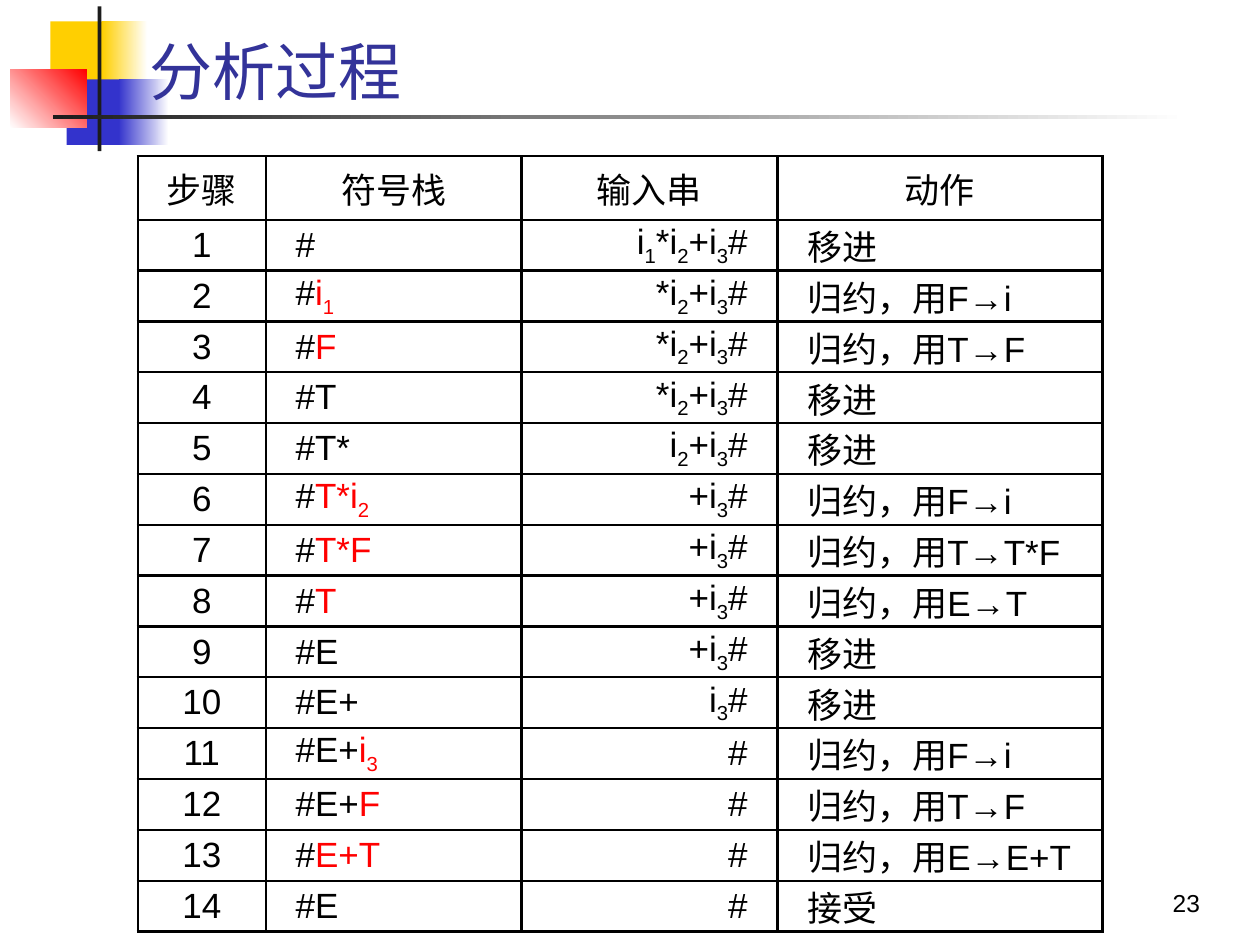
from dataclasses import dataclass

from lxml import etree
from pptx import Presentation
from pptx.dml.color import RGBColor
from pptx.enum.shapes import MSO_SHAPE
from pptx.enum.text import MSO_ANCHOR, MSO_AUTO_SIZE, PP_ALIGN
from pptx.oxml.ns import qn
from pptx.util import Pt

RECT = MSO_SHAPE.RECTANGLE
MIDDLE, BOTTOM = MSO_ANCHOR.MIDDLE, MSO_ANCHOR.BOTTOM
LEFT, CENTER, RIGHT, JUSTIFY = (
    PP_ALIGN.LEFT, PP_ALIGN.CENTER, PP_ALIGN.RIGHT, PP_ALIGN.JUSTIFY)
NO_FIT = MSO_AUTO_SIZE.NONE


@dataclass(frozen=True)
class Theme:
    """Colours, font and type sizes of the slide."""
    font: str = "Arial"
    title: str = "333399"
    text: str = "000000"
    handle: str = "FF0000"
    white: str = "FFFFFF"
    yellow: str = "FFCF01"
    blue: str = "3333CC"
    red: str = "FF0000"
    dark: str = "1C1C1C"
    title_size: float = 36
    table_size: float = 20
    number_size: float = 14
    border: float = 1.5


THEME = Theme()
HEADERS = ["步骤", "符号栈", "输入串", "动作"]
COL_SHARES = [0.1328, 0.2651, 0.2651, 0.337]
BODY_ALIGN = [CENTER, JUSTIFY, RIGHT, JUSTIFY]
SIDE_MARGINS = [(5, 5), (17, 5), (5, 17), (17, 5)]
STEPS = [
    ("#", "", "i_1*i_2+i_3#", "移进"),
    ("#", "i_1", "*i_2+i_3#", "归约，用F→i"),
    ("#", "F", "*i_2+i_3#", "归约，用T→F"),
    ("#T", "", "*i_2+i_3#", "移进"),
    ("#T*", "", "i_2+i_3#", "移进"),
    ("#", "T*i_2", "+i_3#", "归约，用F→i"),
    ("#", "T*F", "+i_3#", "归约，用T→T*F"),
    ("#", "T", "+i_3#", "归约，用E→T"),
    ("#E", "", "+i_3#", "移进"),
    ("#E+", "", "i_3#", "移进"),
    ("#E+", "i_3", "#", "归约，用F→i"),
    ("#E+", "F", "#", "归约，用T→F"),
    ("#", "E+T", "#", "归约，用E→E+T"),
    ("#E", "", "#", "接受"),
]


def add_run(p, text, size, color, subscript=False):
    """Add one formatted run to a paragraph."""
    r = p.add_run()
    r.text = text
    r.font.name = THEME.font
    r.font.size = Pt(size)
    r.font.color.rgb = RGBColor.from_string(color)
    if subscript:
        r._r.get_or_add_rPr().set("baseline", "-25000")


def add_symbols(p, text, color):
    """Add grammar symbols, lowering the digit after each underscore."""
    first, *rest = text.split("_")
    if first:
        add_run(p, first, THEME.table_size, color)
    for part in rest:
        add_run(p, part[0], THEME.table_size, color, subscript=True)
        if part[1:]:
            add_run(p, part[1:], THEME.table_size, color)


def add_block(slide, box, start, end=None, angle=0):
    """Add a borderless rectangle, plain or with a linear gradient."""
    sp = slide.shapes.add_shape(RECT, *map(Pt, box))
    sp.shadow.inherit = False
    sp.line.fill.background()
    if end is None:
        sp.fill.solid()
        sp.fill.fore_color.rgb = RGBColor.from_string(start)
        return
    sp.fill.gradient()
    sp.fill.gradient_angle = angle
    for stop, color, position in zip(sp.fill.gradient_stops, (start, end), (0, 1)):
        stop.color.rgb = RGBColor.from_string(color)
        stop.position = position


def add_ornament(slide, box):
    """Draw the coloured blocks and crossed bars of the header."""
    x, y, w, h = box
    t = THEME
    add_block(slide, (x + 23, y + 8.6, 34.6, 37.4), t.yellow)
    add_block(slide, (x + 52.5, y + 8.6, 26, 37.4), t.yellow, t.white)
    add_block(slide, (x + 32.4, y + 41.8, 33.1, 37.4), t.blue)
    add_block(slide, (x + 62, y + 41.8, 28.8, 37.4), t.blue, t.white)
    add_block(slide, (x, y + 36, 44, 33.2), t.white, t.red, 45)
    add_block(slide, (x + 50, y, 2.2, h), t.dark)
    add_block(slide, (x + 24.5, y + 62, w - 24.5, 2.2), t.dark, t.white)


def place_title(slide, box, text):
    """Move the title placeholder to its box, above the ornament."""
    title = slide.shapes.title
    slide.shapes.element.append(title.element)
    title.left, title.top, title.width, title.height = map(Pt, box)
    tf = title.text_frame
    tf.auto_size = NO_FIT
    tf.word_wrap = True
    tf.vertical_anchor = BOTTOM
    p = tf.paragraphs[0]
    p.alignment = LEFT
    p.line_spacing = 0.85
    add_run(p, text, THEME.title_size, THEME.title)


def format_cell(cell):
    """Give a cell ruled borders, no fill and middle anchoring."""
    tcPr = cell._tc.get_or_add_tcPr()
    for side in ("lnL", "lnR", "lnT", "lnB"):
        ln = etree.SubElement(tcPr, qn(f"a:{side}"), w=str(Pt(THEME.border)))
        fill = etree.SubElement(ln, qn("a:solidFill"))
        etree.SubElement(fill, qn("a:srgbClr"), val=THEME.text)
    cell.fill.background()
    cell.vertical_anchor = MIDDLE


def add_steps_table(slide, box):
    """Add the table of parsing steps."""
    x, y, w, h = box
    rows = len(STEPS) + 1
    table = slide.shapes.add_table(rows, len(HEADERS), *map(Pt, box)).table
    table.first_row = table.horz_banding = False
    for col, share in zip(table.columns, COL_SHARES):
        col.width = Pt(round(w * share, 2))
    for row in table.rows:
        row.height = Pt(h / rows)
    for cell, text in zip(table.rows[0].cells, HEADERS):
        format_cell(cell)
        p = cell.text_frame.paragraphs[0]
        p.alignment = CENTER
        add_symbols(p, text, THEME.text)
    for i, (stack, handle, remaining, action) in enumerate(STEPS, 1):
        values = (str(i), stack, remaining, action)
        for j, (cell, text) in enumerate(zip(table.rows[i].cells, values)):
            format_cell(cell)
            cell.margin_top = cell.margin_bottom = 0
            cell.margin_left, cell.margin_right = map(Pt, SIDE_MARGINS[j])
            p = cell.text_frame.paragraphs[0]
            p.alignment = BODY_ALIGN[j]
            add_symbols(p, text, THEME.text)
            if j == 1 and handle:
                add_symbols(p, handle, THEME.handle)


def add_number(slide, box, text):
    """Add the slide number at the lower right."""
    tf = slide.shapes.add_textbox(*map(Pt, box)).text_frame
    tf.word_wrap = True
    tf.vertical_anchor = BOTTOM
    p = tf.paragraphs[0]
    p.alignment = RIGHT
    add_run(p, text, THEME.number_size, THEME.text)


def main():
    """Build the slide and save it."""
    prs = Presentation()
    prs.slide_width, prs.slide_height = Pt(720), Pt(540)
    slide = prs.slides.add_slide(prs.slide_layouts[5])
    slide.background.fill.solid()
    slide.background.fill.fore_color.rgb = RGBColor.from_string(THEME.white)
    add_ornament(slide, (5.76, 3.6, 672.5, 82.8))
    add_steps_table(slide, (78.7, 89.3, 551.4, 405))
    place_title(slide, (78.5, 16.5, 624, 49), "分析过程")
    add_number(slide, (543, 491.8, 149.8, 36), "23")
    prs.save("out.pptx")


if __name__ == "__main__":
    main()
